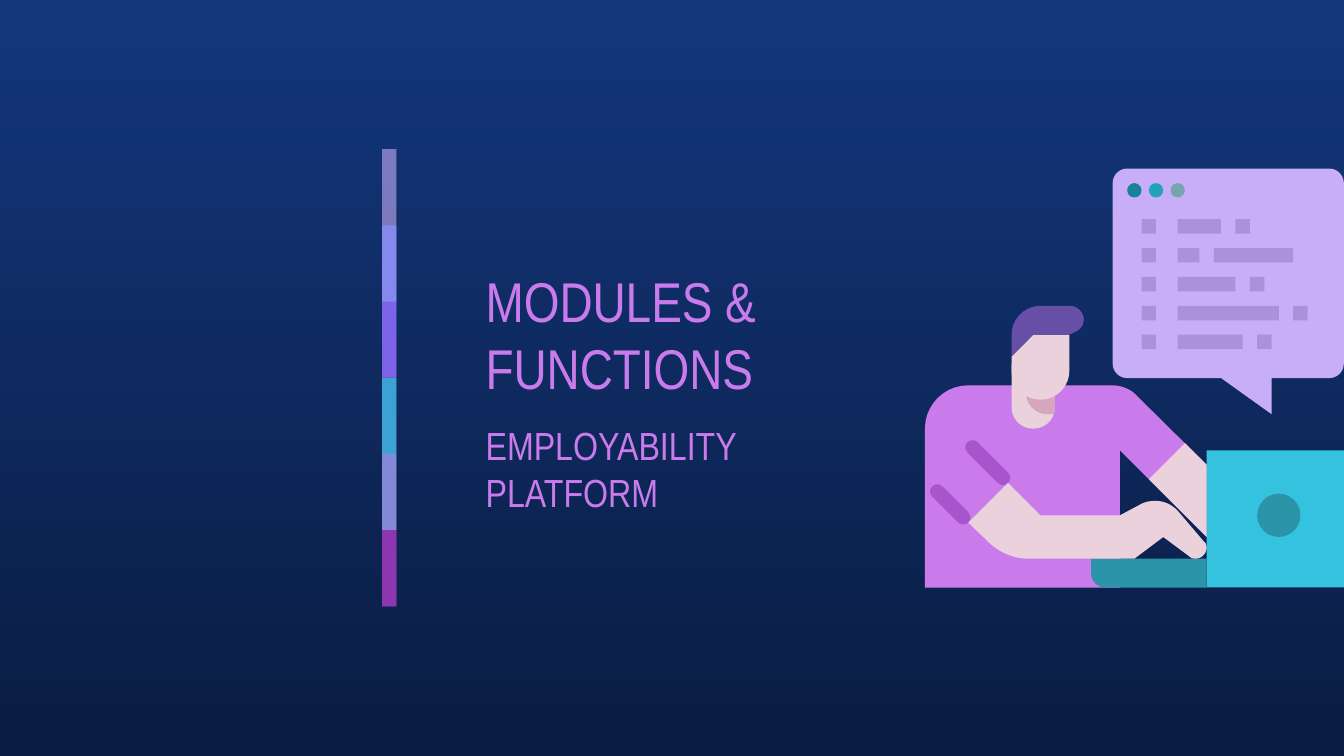
"""Build the section slide with a colour bar, two headings and a coder at a laptop."""
from dataclasses import dataclass

from lxml import etree
from pptx import Presentation
from pptx.dml.color import RGBColor
from pptx.enum.shapes import MSO_SHAPE
from pptx.enum.text import MSO_ANCHOR
from pptx.oxml.ns import qn
from pptx.util import Cm, Pt

RECT = MSO_SHAPE.RECTANGLE
OVAL = MSO_SHAPE.OVAL
ROUND = MSO_SHAPE.ROUNDED_RECTANGLE
MIDDLE = MSO_ANCHOR.MIDDLE

UNIT, LEFT, TOP = 0.182, 23.31, 4.25
STEPS = 10
SKIN, SHIRT, SLEEVE = "EAD1DC", "CA7BEB", "A855CB"
SCREEN, BASE, CODE = "35C2DF", "2B94A9", "AB90DE"


@dataclass
class Block:
    """A preset shape on the drawing grid."""
    kind: MSO_SHAPE
    x: float
    y: float
    wide: float
    high: float
    fill: str
    turn: float = 0


@dataclass
class Form:
    """An outline on the drawing grid: pairs are corners, sixes are curves."""
    fill: str
    nodes: list


@dataclass
class Bar:
    """A segment of the colour bar."""
    fill: str
    alpha: int
    span: int = 2


@dataclass
class Title:
    """A heading placed in centimetres."""
    text: str
    y: float
    wide: float
    high: float
    size: int


BARS = [Bar("C8AEF8", 59), Bar("878FFF", 74), Bar("9154F8", 53),
        Bar("35C2DF", 76), Bar("CA7BEB", 56), Bar("972CB4", 74, 1)]

TITLES = [Title("MODULES & FUNCTIONS", 6.12, 14.4, 4.57, 40),
          Title("EMPLOYABILITY PLATFORM", 10.67, 9.7, 2.26, 28)]

PERSON = [
    Form(SHIRT, [(6, 30), (2.7, 30, 0, 32.7, 0, 36), (0, 58), (27, 58), (27, 39),
                 (39, 51), (39, 41), (29.4, 31.5), (28.5, 30.5, 27.2, 30, 25.8, 30)]),
    Block(ROUND, -0.05, 45.5, 7.1, 2, SLEEVE, 45),
    Block(ROUND, 4.7, 39.7, 8, 2, SLEEVE, 45),
    Block(RECT, 39, 39, 19, 19, SCREEN),
    Form(BASE, [(23, 54), (23, 56), (23, 57.1, 23.9, 58, 25, 58), (39, 58), (39, 54)]),
    Form(SKIN, [(12, 27), (12, 33), (12, 34.7, 13.3, 36, 15, 36),
                (16.7, 36, 18, 34.7, 18, 33), (18, 27)]),
    Form("D5A6BD", [(14, 27), (14, 31), (14, 32.7, 15.3, 34, 17, 34), (17.8, 34),
                    (17.9, 33.7, 18, 33.4, 18, 33), (18, 27)]),
    Form(SKIN, [(11.5, 43.5), (6, 49), (8.7, 51.6), (10.2, 53.1, 12.2, 54, 14.3, 54),
                (29, 54), (33, 51), (36.5, 53.6), (36.8, 53.9, 37.1, 54, 37.5, 54),
                (38.3, 54, 39, 53.3, 39, 52.5), (39, 52.1, 38.9, 51.8, 38.6, 51.6),
                (35.2, 47.6), (34.4, 46.6, 33.2, 46, 32, 46),
                (31.2, 46, 30.6, 46.1, 30, 46.4), (27, 48), (16, 48)]),
    Form(SKIN, [(36, 38), (31, 43), (39, 51), (39, 41)]),
    Block(OVAL, 46, 45, 6, 6, BASE),
]

BUBBLE = Form("C8AEF8", [
    (28, 0), (26.9, 0, 26, 0.9, 26, 2), (26, 27), (26, 28.1, 26.9, 29, 28, 29),
    (41, 29), (48, 34), (48, 29), (56, 29), (57.1, 29, 58, 28.1, 58, 27),
    (58, 2), (58, 0.9, 57.1, 0, 56, 0)])

ROWS = [(6, 2), (3, 11), (8, 2), (14, 2), (9, 2)]

HEAD = [
    Form(SKIN, [(15, 23), (12, 26), (12, 28), (12, 30.2, 13.8, 32, 16, 32),
                (18.2, 32, 20, 30.2, 20, 28), (20, 23)]),
    Form("674EA7", [(16, 19), (13.8, 19, 12, 20.8, 12, 23), (12, 26), (15, 23),
                    (20, 23), (21, 22.5), (21.6, 22.2, 22, 21.6, 22, 20.9),
                    (22, 19.9, 21.1, 19, 20.1, 19)]),
]

DOTS = ["198298", "22A2BC", "76A5AF"]


def tint(code: str) -> RGBColor:
    """Turn a hex string into a colour."""
    return RGBColor.from_string(code)


def paint(shape, code: str) -> None:
    """Give a shape a flat fill with no line or shadow."""
    shape.shadow.inherit = False
    shape.fill.solid()
    shape.fill.fore_color.rgb = tint(code)
    shape.line.fill.background()


def spot(x: float, y: float) -> tuple:
    """Place a grid point on the slide."""
    return Cm(LEFT + x * UNIT), Cm(TOP + y * UNIT)


def trace(nodes: list) -> list:
    """Turn corners and curves into a run of points."""
    points = [nodes[0]]
    for node in nodes[1:]:
        if len(node) == 2:
            points.append(node)
            continue
        pulls = [points[-1], node[:2], node[2:4], node[4:]]
        for step in range(1, STEPS + 1):
            t = step / STEPS
            parts = ((1 - t) ** 3, 3 * t * (1 - t) ** 2, 3 * t * t * (1 - t), t ** 3)
            points.append(tuple(sum(w * p[axis] for w, p in zip(parts, pulls))
                                for axis in (0, 1)))
    return points


def draw(shapes, item) -> None:
    """Draw one block or outline."""
    if isinstance(item, Form):
        points = [spot(*point) for point in trace(item.nodes)]
        pen = shapes.build_freeform(*points[0])
        pen.add_line_segments(points[1:], close=True)
        shape = pen.convert_to_shape()
    else:
        shape = shapes.add_shape(item.kind, *spot(item.x, item.y),
                                 Cm(item.wide * UNIT), Cm(item.high * UNIT))
        shape.rotation = item.turn
        if item.kind == ROUND:
            shape.adjustments[0] = 0.5
    paint(shape, item.fill)


def stack(shapes, bars: list) -> None:
    """Draw the segments of the colour bar, each partly over the last."""
    step = 1.92
    for i, bar in enumerate(bars):
        shape = shapes.add_shape(RECT, Cm(9.63), Cm(3.76 + i * step),
                                 Cm(0.36), Cm(bar.span * step))
        paint(shape, bar.fill)
        color = shape.fill._xPr.find(qn("a:solidFill"))[0]
        etree.SubElement(color, qn("a:alpha")).set("val", str(bar.alpha * 1000))


def write(shapes, title: Title) -> None:
    """Write one heading."""
    box = shapes.add_textbox(Cm(11.91), Cm(title.y), Cm(title.wide), Cm(title.high))
    frame = box.text_frame
    frame.text = title.text
    frame.word_wrap = True
    frame.vertical_anchor = MIDDLE
    frame.margin_left = frame.margin_right = Cm(0.33)
    frame.margin_top = frame.margin_bottom = Cm(0.33)
    font = frame.paragraphs[0].runs[0].font
    font.name = "Arial Narrow"
    font.size = Pt(title.size)
    font.color.rgb = tint(SHIRT)


def main() -> None:
    """Build and save the slide."""
    deck = Presentation()
    deck.slide_width, deck.slide_height = Cm(33.87), Cm(19.05)
    slide = deck.slides.add_slide(deck.slide_layouts[6])
    back = slide.background.fill
    back.gradient()
    back.gradient_angle = 270
    for stop, code in zip(back.gradient_stops, ("13367C", "0A1D42")):
        stop.color.rgb = tint(code)

    shapes = slide.shapes
    stack(shapes, BARS)
    for title in TITLES:
        write(shapes, title)
    lines = [Block(RECT, x, 7 + 4 * i, wide, 2, CODE)
             for i, (first, last) in enumerate(ROWS)
             for x, wide in ((30, 2), (35, first), (37 + first, last))]
    dots = [Block(OVAL, 28 + 3 * i, 2, 2, 2, code) for i, code in enumerate(DOTS)]
    for item in PERSON + [BUBBLE] + lines + HEAD + dots:
        draw(shapes, item)
    deck.save("out.pptx")


if __name__ == "__main__":
    main()
